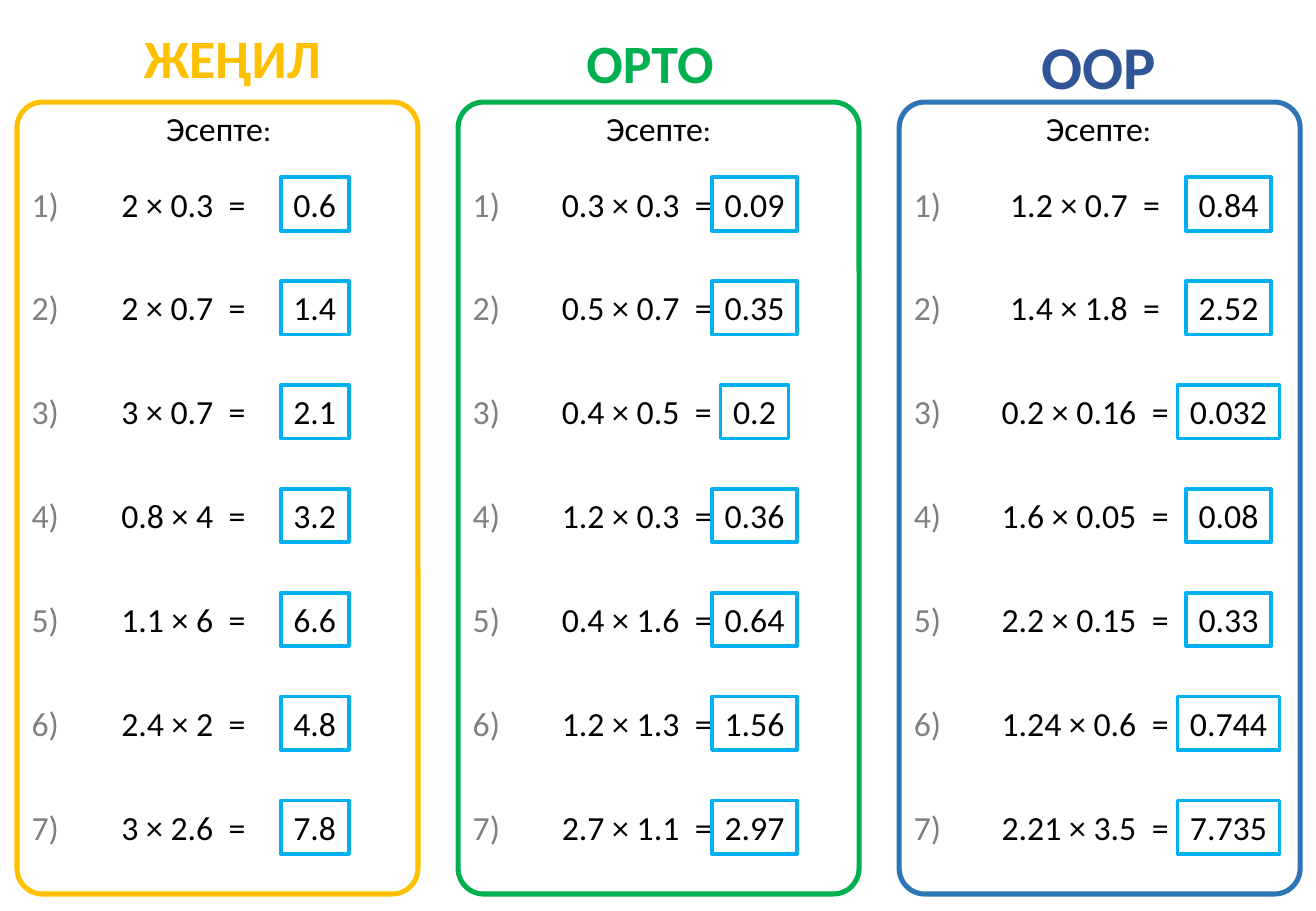
from pptx import Presentation
from pptx.dml.color import RGBColor
from pptx.enum import shapes, text
from pptx.util import Inches, Pt

YELLOW = RGBColor(0xFF, 0xC0, 0x00)
GREEN = RGBColor(0x00, 0xB0, 0x50)
BLUE = RGBColor(0x2E, 0x75, 0xB6)
NAVY = RGBColor(0x2F, 0x55, 0x97)
CYAN = RGBColor(0x00, 0xB0, 0xF0)
GRAY = RGBColor(0x80, 0x80, 0x80)
BLACK = RGBColor(0x00, 0x00, 0x00)
WHITE = RGBColor(0xFF, 0xFF, 0xFF)

LEFT, TOP, PITCH, WIDTH, HEIGHT = 0.14, 0.84, 3.63, 3.3, 6.52
FIRST_ROW, LAST_ROW, ROW_HEIGHT = 0.62, 5.75, 0.44
DIGIT, POINT = 0.14, 0.07

COLUMNS = [
    {"heading": "ЖЕҢИЛ", "box": (0.72, 0.15, 2.11, 0.64), "size": 32,
     "ink": YELLOW, "border": YELLOW, "label": 1.66, "sum": 1.37, "answer": 2.45,
     "tasks": [("2 × 0.3", "0.6"), ("2 × 0.7", "1.4"), ("3 × 0.7", "2.1"),
               ("0.8 × 4", "3.2"), ("1.1 × 6", "6.6"), ("2.4 × 2", "4.8"),
               ("3 × 2.6", "7.8")]},
    {"heading": "ОРТО", "box": (0.93, 0.19, 1.3, 0.64), "size": 32,
     "ink": GREEN, "border": GREEN, "label": 1.65, "sum": 1.47, "answer": 2.44,
     "tasks": [("0.3 × 0.3", "0.09"), ("0.5 × 0.7", "0.35"), ("0.4 × 0.5", "0.2"),
               ("1.2 × 0.3", "0.36"), ("0.4 × 1.6", "0.64"), ("1.2 × 1.3", "1.56"),
               ("2.7 × 1.1", "2.97")]},
    {"heading": "ООР", "box": (0.93, 0.19, 1.43, 0.71), "size": 36,
     "ink": NAVY, "border": BLUE, "label": 1.64, "sum": 1.53, "answer": 2.71,
     "tasks": [("1.2 × 0.7", "0.84"), ("1.4 × 1.8", "2.52"), ("0.2 × 0.16", "0.032"),
               ("1.6 × 0.05", "0.08"), ("2.2 × 0.15", "0.33"), ("1.24 × 0.6", "0.744"),
               ("2.21 × 3.5", "7.735")]},
]


def number_width(value):
    """Return the width in inches of the digits and points in a text."""
    return DIGIT * sum(c.isdigit() for c in value) + POINT * value.count(".")


def outline(sp, color, weight):
    """Give a shape a solid outline."""
    sp.line.color.rgb = color
    sp.line.width = Pt(weight)


def add_text(s, box, runs, color=BLACK, bold=False, align=text.PP_ALIGN.CENTER):
    """Add one unwrapped line made of (text, size) runs at a box in inches."""
    sp = s.shapes.add_textbox(*map(Inches, box))
    tf = sp.text_frame
    frame_format = {"word_wrap": False, "vertical_anchor": text.MSO_ANCHOR.TOP,
                    "auto_size": text.MSO_AUTO_SIZE.SHAPE_TO_FIT_TEXT}
    for name, value in frame_format.items():
        setattr(tf, name, value)
    p = tf.paragraphs[0]
    p.alignment = align
    for content, size in runs:
        r = p.add_run()
        r.text = content
        for name, value in {"name": "Calibri", "size": Pt(size), "bold": bold}.items():
            setattr(r.font, name, value)
        r.font.color.rgb = color
    return sp


def add_task(s, left, top, number, task, column):
    """Add the number, the multiplication and the framed answer of one row."""
    product, answer = task
    sp = add_text(s, (left, top + 0.05, 0.35, 0.34), [(f"{number})", 20)],
                  color=GRAY, align=text.PP_ALIGN.LEFT)
    tf = sp.text_frame
    tf.margin_left = Inches(0.12)
    tf.margin_top = tf.margin_right = tf.margin_bottom = 0

    width = 0.74 + number_width(product)
    sp = add_text(s, (left + column["sum"] - width / 2, top, width, ROW_HEIGHT),
                  [(product, 20), (" ", 20), ("=", 20)])
    gap = sp.text_frame.paragraphs[0].runs[1]
    gap._r.get_or_add_rPr().set("spc", "450")

    width = DIGIT * (len(answer) + 1)
    sp = add_text(s, (left + column["answer"] - width / 2, top, width, ROW_HEIGHT),
                  [(answer, 20)])
    sp.fill.solid()
    sp.fill.fore_color.rgb = WHITE
    outline(sp, CYAN, 2.25)


def add_column(s, left, top, column):
    """Add one difficulty level: heading, rounded frame, label and tasks."""
    sp = s.shapes.add_shape(shapes.MSO_SHAPE.ROUNDED_RECTANGLE,
                            *map(Inches, (left, top, WIDTH, HEIGHT)))
    sp.shadow.inherit = False
    sp.adjustments[0] = 0.064
    sp.fill.background()
    outline(sp, column["border"], 3)
    add_text(s, (left + column["label"] - 0.54, top, 1.08, ROW_HEIGHT),
             [("Эсепте", 20), (":", 18)])
    step = (LAST_ROW - FIRST_ROW) / (len(column["tasks"]) - 1)
    for i, task in enumerate(column["tasks"]):
        add_task(s, left, top + FIRST_ROW + i * step, i + 1, task, column)
    x, y, width, height = column["box"]
    add_text(s, (left + x, y, width, height), [(column["heading"], column["size"])],
             color=column["ink"], bold=True)


def main():
    """Build the worksheet slide and save it."""
    prs = Presentation()
    prs.slide_width, prs.slide_height = Inches(10.83), Inches(7.5)
    s = prs.slides.add_slide(prs.slide_layouts[6])
    for i, column in enumerate(COLUMNS):
        add_column(s, LEFT + i * PITCH, TOP, column)
    prs.save("out.pptx")


if __name__ == "__main__":
    main()
